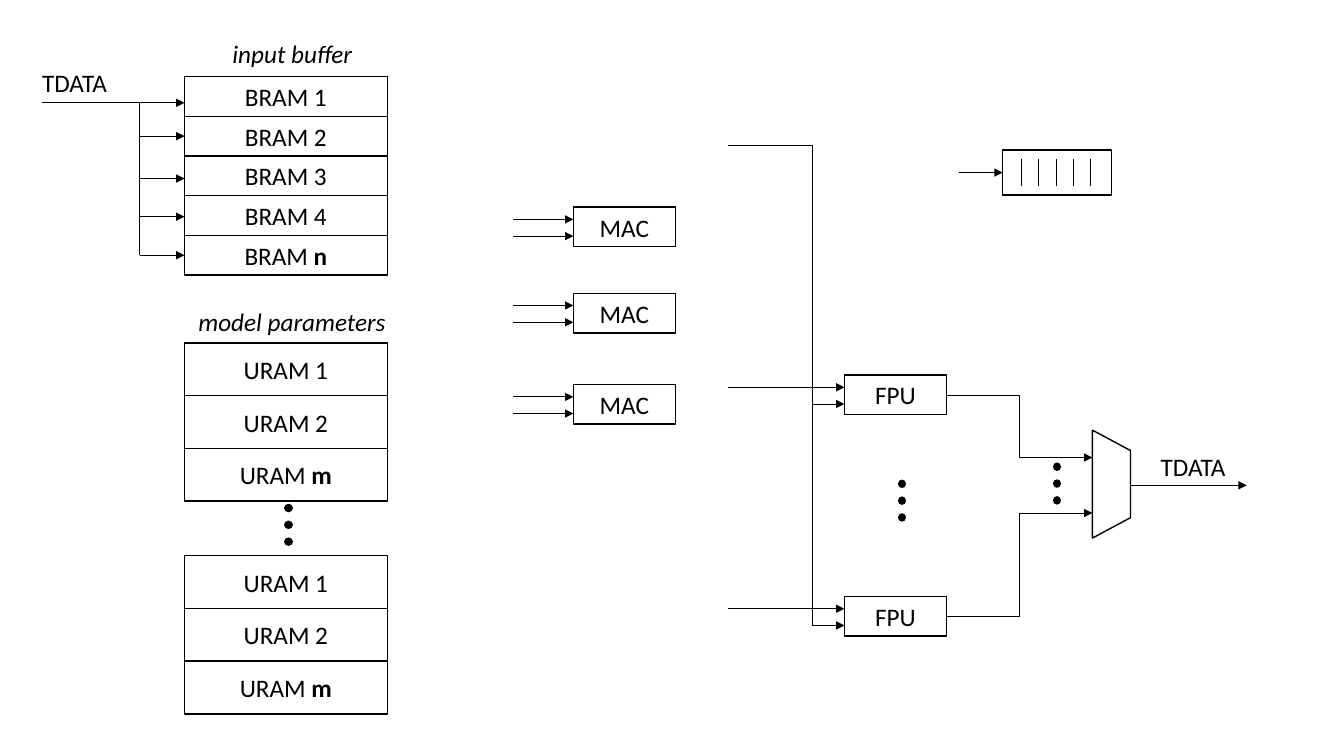
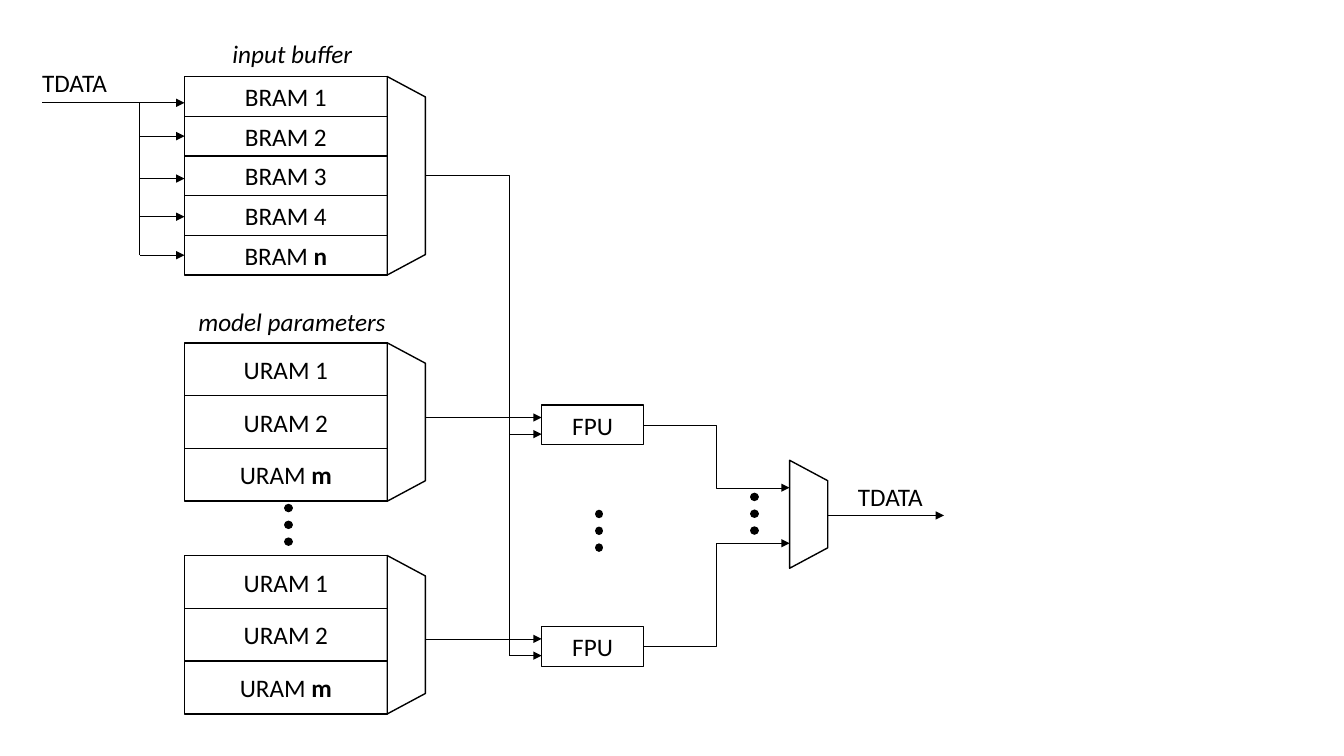
from dataclasses import dataclass

from lxml.etree import SubElement
from pptx import Presentation
from pptx.dml.color import RGBColor
from pptx.enum.dml import MSO_LINE
from pptx.enum.shapes import MSO_CONNECTOR, MSO_SHAPE
from pptx.enum.text import MSO_ANCHOR, MSO_AUTO_SIZE, PP_ALIGN
from pptx.oxml.ns import qn
from pptx.util import Cm, Pt


@dataclass(frozen=True)
class Theme:
    ink: RGBColor = RGBColor(0, 0, 0)
    font: str = "Calibri"
    text: Pt = Pt(18)
    outline: Pt = Pt(1)
    wire: Pt = Pt(0.5)
    hairline: Pt = Pt(0.25)
    dots: Pt = Pt(6)


THEME = Theme()

# All coordinates below are centimetres.
MEMORY_X, MEMORY_W = 4.65, 5.11
MEMORY_RIGHT = MEMORY_X + MEMORY_W
BANKS = [  # name, indices, top, row height
    ("BRAM ", "1234n", 1.93, 1.0),
    ("URAM ", "12m", 8.64, 1.33),
    ("URAM ", "12m", 14.0, 1.33),
]
INPUT_BUS_X = 3.52
INPUT_ROWS = [2.59, 3.43, 4.5, 5.46, 6.43]
UNIT_W, UNIT_H = 2.57, 1.0
PORTS = (0.31, 0.73)
FPU_X, FPU_TOPS = 21.28, (9.45, 15.03)
MAC_X, MAC_TOPS = 14.45, (5.22, 7.39, 9.69)
FEED_X, BROADCAST_X = 18.34, 20.47
MUX_W = 0.96
OUT_MUX_X, OUT_MUX_Y, OUT_MUX_H = 27.53, 10.84, 2.72


def block(shapes, x, y, w, h, name="", index="", mux=False):
    """Outlined box, or a multiplexer narrowing to the right; letter indices are bold."""
    if mux:  # a trapezoid turned by a quarter about its centre
        x, y, w, h = x + (w - h) / 2, y + (h - w) / 2, h, w
    kind = MSO_SHAPE.TRAPEZOID if mux else MSO_SHAPE.RECTANGLE
    box = shapes.add_shape(kind, Cm(x), Cm(y), Cm(w), Cm(h))
    if mux:
        box.rotation = 90
        box.adjustments[0] = 0.536
    box.shadow.inherit = False
    box.fill.background()
    box.line.color.rgb = THEME.ink
    box.line.width = THEME.outline
    if name:
        frame = box.text_frame
        frame.word_wrap = False
        frame.vertical_anchor = MSO_ANCHOR.MIDDLE
        caption = frame.paragraphs[0]
        caption.alignment = PP_ALIGN.CENTER
        caption.font.name, caption.font.size = THEME.font, THEME.text
        caption.font.color.rgb = THEME.ink
        caption.add_run().text = name
        if index:
            number = caption.add_run()
            number.text = index
            if index.isalpha():
                number.font.bold = True


def wire(shapes, start, end, arrow=True, width=THEME.wire, bends=0, dotted=False):
    kind = MSO_CONNECTOR.ELBOW if bends else MSO_CONNECTOR.STRAIGHT
    line = shapes.add_connector(kind, *map(Cm, start + end))
    line.line.color.rgb = THEME.ink
    line.line.width = width
    properties = line._element.spPr
    stroke = properties.find(qn("a:ln"))
    if bends == 1:
        properties.find(qn("a:prstGeom")).set("prst", "bentConnector2")
    if dotted:
        line.line.dash_style = MSO_LINE.ROUND_DOT
        stroke.set("cap", "rnd")
    if arrow:
        SubElement(stroke, qn("a:tailEnd"), type="triangle")
    SubElement(properties, qn("a:effectLst"))


deck = Presentation()
deck.slide_width, deck.slide_height = Cm(33.87), Cm(19.05)

# The compute section sits further left and lower once the memories are wired to it.
for shift_x, shift_y, connected in ((0, 0, False), (-7.63, 0.76, True)):
    shapes = deck.slides.add_slide(deck.slide_layouts[6]).shapes

    # Memories
    for name, indices, top, row_h in BANKS:
        for row, index in enumerate(indices):
            block(shapes, MEMORY_X, top + row * row_h, MEMORY_W, row_h, name, index)
        if connected:
            block(shapes, MEMORY_RIGHT, top, MUX_W, len(indices) * row_h, mux=True)

    # Input stream
    wire(shapes, (INPUT_BUS_X, INPUT_ROWS[0]), (INPUT_BUS_X, INPUT_ROWS[-1]), arrow=False)
    for y in INPUT_ROWS:
        wire_start = 1.07 if y == INPUT_ROWS[0] else INPUT_BUS_X
        wire(shapes, (wire_start, y), (MEMORY_X, y))

    # Floating-point units and their inputs
    fpu_x, feed_x, broadcast_x, mux_x = (
        x + shift_x for x in (FPU_X, FEED_X, BROADCAST_X, OUT_MUX_X))
    mux_y = OUT_MUX_Y + shift_y
    fpu_tops = [top + shift_y for top in FPU_TOPS]
    wire(shapes, (feed_x, 3.66 + shift_y), (broadcast_x, fpu_tops[-1] + PORTS[1]),
         arrow=False, bends=1)
    for top, mux_port in zip(fpu_tops, (0.69, 2.09)):
        block(shapes, fpu_x, top, UNIT_W, UNIT_H, "FPU")
        for source_x, port in zip((feed_x, broadcast_x), PORTS):
            wire(shapes, (source_x, top + port), (fpu_x, top + port))
        wire(shapes, (fpu_x + UNIT_W, top + UNIT_H / 2), (mux_x, mux_y + mux_port),
             width=THEME.hairline, bends=2)

    # Output multiplexer
    block(shapes, mux_x, mux_y, MUX_W, OUT_MUX_H, mux=True)
    output_y = mux_y + OUT_MUX_H / 2 + 0.03
    wire(shapes, (mux_x + MUX_W, output_y), (mux_x + 3.89, output_y))

    # Ellipses for repeated parts
    for x, y in ((7.27, 12.8), (22.73 + shift_x, 12.19 + shift_y),
                 (26.64 + shift_x, 11.76 + shift_y)):
        wire(shapes, (x, y), (x, y + 1.04), arrow=False, width=THEME.dots, dotted=True)

    for text, x, y, w, italic in (
        ("input buffer", 5.61, 0.84, 3.58, True),
        ("model parameters", 4.75, 7.6, 5.28, True),
        ("TDATA", 0.81, 1.57, 2.16, False),
        ("TDATA", 29.0 + shift_x, 11.24 + shift_y, 2.16, False),
    ):
        frame = shapes.add_textbox(Cm(x), Cm(y), Cm(w), Cm(1.03)).text_frame
        frame.word_wrap = False
        frame.auto_size = MSO_AUTO_SIZE.SHAPE_TO_FIT_TEXT
        label = frame.paragraphs[0]
        label.text = text
        label.font.name, label.font.size = THEME.font, THEME.text
        label.font.italic = italic
        label.font.color.rgb = THEME.ink

    if connected:
        continue

    # Unplaced parts: multiply-accumulate units and a queue
    for top in MAC_TOPS:
        block(shapes, MAC_X, top, UNIT_W, UNIT_H, "MAC")
        for port in PORTS:
            wire(shapes, (12.93, top + port), (MAC_X, top + port))
    queue_x, queue_y, queue_h = 25.27, 3.78, 1.14
    wire(shapes, (24.16, queue_y + queue_h / 2), (queue_x, queue_y + queue_h / 2))
    queue = shapes.add_group_shape().shapes
    block(queue, queue_x, queue_y, 2.75, queue_h)
    for slot in range(5):
        x = queue_x + 0.48 + slot * 0.43
        wire(queue, (x, queue_y + 0.24), (x, queue_y + 0.9), arrow=False)

deck.save("out.pptx")
